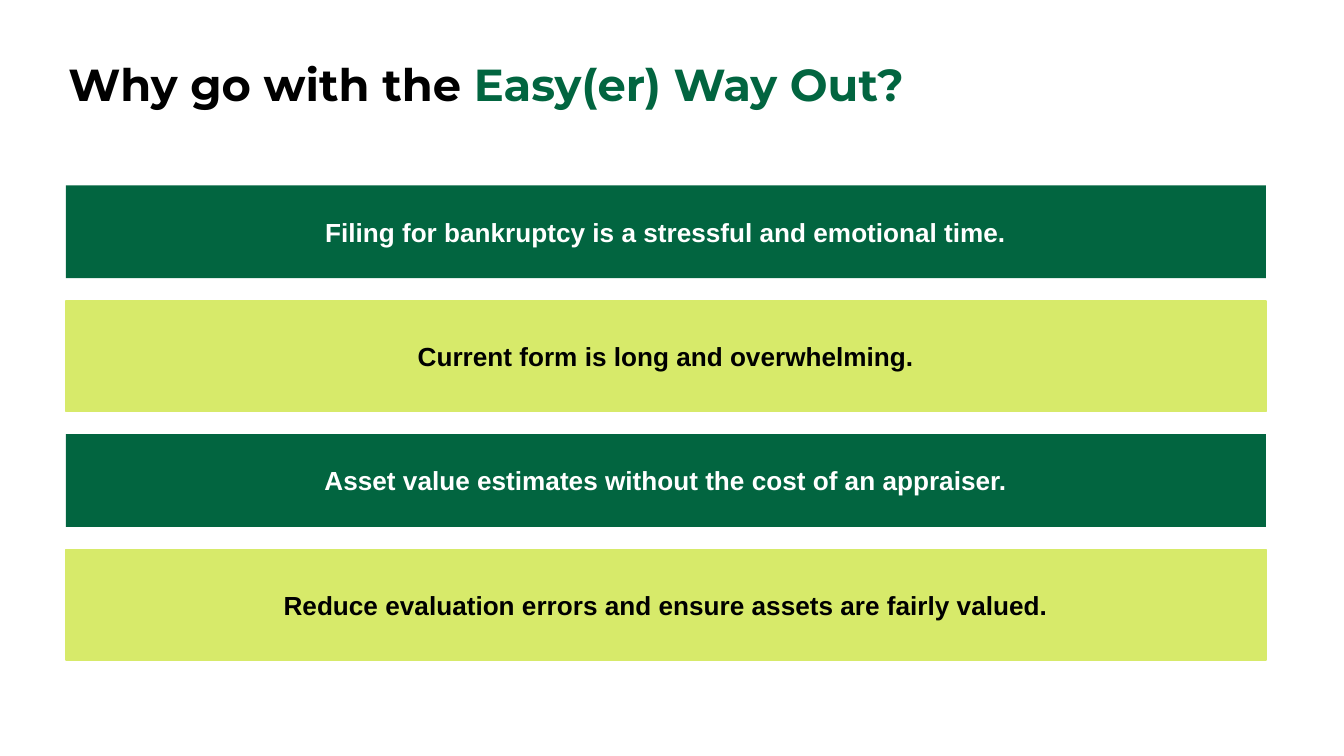
from dataclasses import dataclass

from pptx import Presentation
from pptx.dml.color import RGBColor
from pptx.enum.shapes import MSO_SHAPE as Shape
from pptx.enum.text import MSO_ANCHOR as Anchor, PP_ALIGN as Align
from pptx.util import Inches, Pt

COLORS = {"green": "026540", "lime": "D7EA6A", "black": "000000", "white": "FFFFFF"}

# The 16:9 slide is a grid of square cells; every length is a count of cells.
SLIDE_WIDTH = Inches(10)
SLIDE_HEIGHT = SLIDE_WIDTH * 9 // 16
COLUMNS = 1000
CELL = SLIDE_WIDTH // COLUMNS
BAR_LEFT, BAR_WIDTH = 49, 893
FIRST_BAR_TOP, BAR_GAP = 138, 17


@dataclass(frozen=True)
class BarStyle:
    fill: str
    ink: str
    rows: int
    outlined: bool


@dataclass(frozen=True)
class Reason:
    text: str
    style: BarStyle


DARK = BarStyle("green", "white", 69, False)
LIGHT = BarStyle("lime", "black", 82, True)

TITLE = (("Why go with the ", "black"), ("Easy(er) Way Out?", "green"))
REASONS = (
    Reason("Filing for bankruptcy is a stressful and emotional time.", DARK),
    Reason("Current form is long and overwhelming.", LIGHT),
    Reason("Asset value estimates without the cost of an appraiser.", DARK),
    Reason("Reduce evaluation errors and ensure assets are fairly valued.", LIGHT),
)


def color(name: str) -> RGBColor:
    return RGBColor.from_string(COLORS[name])


def cells(*counts: int) -> list[int]:
    """Turn counts of grid cells into lengths."""
    return [count * CELL for count in counts]


def set_frame(frame, anchor: Anchor) -> None:
    inset = Inches(0.1)
    values = {
        "word_wrap": True,
        "vertical_anchor": anchor,
        "margin_left": inset,
        "margin_top": inset,
        "margin_right": inset,
        "margin_bottom": inset,
    }
    for name, value in values.items():
        setattr(frame, name, value)


def add_run(paragraph, text: str, font: str, size: int, ink: str) -> None:
    run = paragraph.add_run()
    run.text = text
    for name, value in {"name": font, "size": Pt(size), "bold": True}.items():
        setattr(run.font, name, value)
    run.font.color.rgb = color(ink)


def draw_title(slide) -> None:
    title = slide.shapes.add_textbox(*cells(41, 32, 674, 69))
    set_frame(title.text_frame, Anchor.TOP)
    for text, ink in TITLE:
        add_run(title.text_frame.paragraphs[0], text, "Montserrat", 24, ink)


def draw_reason(slide, reason: Reason, top: int) -> None:
    style = reason.style
    bar = slide.shapes.add_shape(
        Shape.RECTANGLE, *cells(BAR_LEFT, top, BAR_WIDTH, style.rows)
    )
    bar.shadow.inherit = False
    bar.fill.solid()
    bar.fill.fore_color.rgb = color(style.fill)
    if style.outlined:
        bar.line.color.rgb = color(style.fill)
        bar.line.width = Pt(0.75)
    else:
        bar.line.fill.background()
    set_frame(bar.text_frame, Anchor.MIDDLE)
    paragraph = bar.text_frame.paragraphs[0]
    paragraph.alignment = Align.CENTER
    add_run(paragraph, reason.text, "Arial", 14, style.ink)


def main() -> None:
    deck = Presentation()
    deck.slide_width, deck.slide_height = SLIDE_WIDTH, SLIDE_HEIGHT
    slide = deck.slides.add_slide(deck.slide_layouts[6])
    draw_title(slide)
    top = FIRST_BAR_TOP
    for reason in REASONS:
        draw_reason(slide, reason, top)
        top += reason.style.rows + BAR_GAP
    deck.save("out.pptx")


if __name__ == "__main__":
    main()
